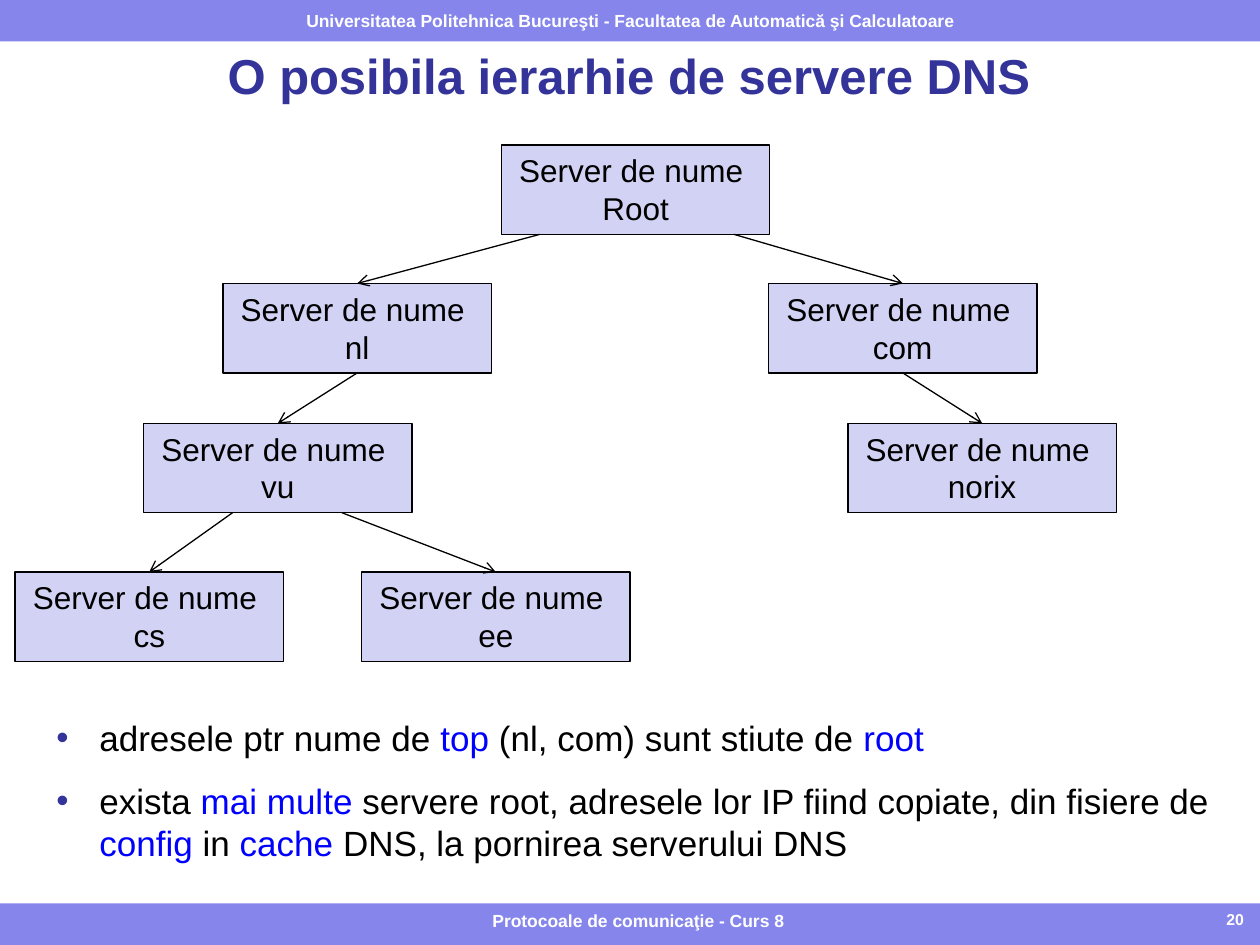
from lxml.etree import SubElement
from pptx import Presentation
from pptx.dml.color import RGBColor
from pptx.enum.shapes import MSO_CONNECTOR as Link, MSO_SHAPE as Kind
from pptx.enum.text import MSO_ANCHOR as Anchor, MSO_AUTO_SIZE as Fit, PP_ALIGN as Align
from pptx.oxml.ns import qn
from pptx.util import Inches, Pt

# Content
TITLE = "O posibila ierarhie de servere DNS"
HEAD = "Universitatea Politehnica Bucureşti - Facultatea de Automatică şi Calculatoare"
FOOT = "Protocoale de comunicaţie - Curs 8"
PAGE = "20"
LABEL = "Server de nume "
# name: (left, level)
NODES = {
    "Root": (3.98, 0), "nl": (1.77, 1), "com": (6.1, 1), "vu": (1.14, 2),
    "norix": (6.73, 2), "cs": (0.12, 3), "ee": (2.87, 3),
}
# parent, child, offset of the start from the parent's centre
EDGES = [
    ("Root", "nl", -0.76), ("Root", "com", 0.78), ("nl", "vu", 0),
    ("vu", "cs", -0.36), ("vu", "ee", 0.51), ("com", "norix", 0),
]
BLACK, BLUE, NAVY, WHITE = "000000", "0000FF", "333399", "FFFFFF"
BAND, PALE = "8585EB", "D2D2F4"
NOTES = [
    [("adresele ptr nume de ", BLACK), ("top", BLUE),
     (" (nl, com) sunt stiute de ", BLACK), ("root", BLUE)],
    [("exista ", BLACK), ("mai multe ", BLUE),
     ("servere root, adresele lor IP fiind copiate, din fisiere de ", BLACK),
     ("config", BLUE), (" in ", BLACK), ("cache", BLUE),
     (" DNS, la pornirea serverului DNS", BLACK)],
]

# Layout
TOPS = [1.15, 2.25, 3.36, 4.54]
BOX_W, BOX_H = 2.13, 0.71
BAND_H, FOOT_Y = 0.33, 7.17


def rgb(code):
    return RGBColor.from_string(code)


def write(shape, paras, size=18, color=BLACK, bold=False, align=Align.CENTER,
          anchor=Anchor.TOP, wrap=True, bullet=None, gap=0):
    """Fill a shape; a paragraph is a string or a list of (text, colour)."""
    frame = shape.text_frame
    frame.auto_size = Fit.NONE
    frame.word_wrap = wrap
    frame.vertical_anchor = anchor
    for i, runs in enumerate(paras):
        para = frame.add_paragraph() if i else frame.paragraphs[0]
        if bullet:
            add_bullet(para, bullet)
        para.alignment = align
        para.space_before = Pt(gap if i else 0)
        para.space_after = Pt(gap)
        for text, tint in [(runs, color)] if isinstance(runs, str) else runs:
            run = para.add_run()
            run.text = text
            font = run.font
            font.name, font.size, font.bold = "Arial", Pt(size), bold
            font.color.rgb = rgb(tint)


def add_bullet(para, color):
    props = para._p.get_or_add_pPr()
    props.set("marL", str(Inches(0.34)))
    props.set("indent", str(Inches(-0.34)))
    tint = SubElement(props, qn("a:buClr"))
    SubElement(tint, qn("a:srgbClr"), val=color)
    SubElement(props, qn("a:buFont"), typeface="Arial")
    SubElement(props, qn("a:buChar"), char="•")


def add_rect(slide, at, fill, line=None):
    shape = slide.shapes.add_shape(Kind.RECTANGLE, *map(Inches, at))
    shape.shadow.inherit = False
    shape.fill.solid()
    shape.fill.fore_color.rgb = rgb(fill)
    if line:
        shape.line.color.rgb = rgb(line)
        shape.line.width = Pt(0.75)
    else:
        shape.line.fill.background()
    return shape


def add_box(slide, at, paras, **style):
    write(slide.shapes.add_textbox(*map(Inches, at)), paras, **style)


def add_arrow(slide, start, end):
    line = slide.shapes.add_connector(Link.STRAIGHT, *map(Inches, start + end))
    line.line.color.rgb = rgb(BLACK)
    line.line.width = Pt(0.75)
    SubElement(line.line._get_or_add_ln(), qn("a:tailEnd"), type="arrow")
    SubElement(line._element.spPr, qn("a:effectLst"))


def main():
    deck = Presentation()
    deck.slide_width, deck.slide_height = Inches(10), Inches(7.5)
    slide = deck.slides.add_slide(deck.slide_layouts[5])

    # Bands and title
    add_rect(slide, (0, FOOT_Y, 10, BAND_H), BAND)
    head = add_rect(slide, (0, 0, 10, BAND_H), BAND)
    write(head, [HEAD], size=10, color=WHITE, bold=True,
          anchor=Anchor.MIDDLE, wrap=False)
    title = slide.shapes.title
    title.left, title.top, title.width, title.height = map(
        Inches, (0.42, 0.36, 9.14, 0.47))
    write(title, [TITLE], size=28, color=NAVY, bold=True, anchor=Anchor.MIDDLE)

    # Notes below the tree
    add_box(slide, (0.35, 5.64, 9.53, 1.42), NOTES, size=20,
            align=Align.LEFT, bullet=NAVY, gap=5.8)

    # Server tree
    for name, (left, level) in NODES.items():
        node = add_rect(slide, (left, TOPS[level], BOX_W, BOX_H), PALE, BLACK)
        write(node, [LABEL, name])
    for parent, child, shift in EDGES:
        (x1, up), (x2, down) = NODES[parent], NODES[child]
        half = BOX_W / 2
        add_arrow(slide, (x1 + half + shift, TOPS[up] + BOX_H),
                  (x2 + half, TOPS[down]))

    # Footer
    add_box(slide, (2.58, FOOT_Y, 4.97, 0.3), [FOOT], size=10, color=WHITE, bold=True)
    add_box(slide, (7.67, FOOT_Y, 2.3, 0.3), [PAGE], size=9, color=WHITE,
            bold=True, align=Align.RIGHT)

    deck.save("out.pptx")


if __name__ == "__main__":
    main()
